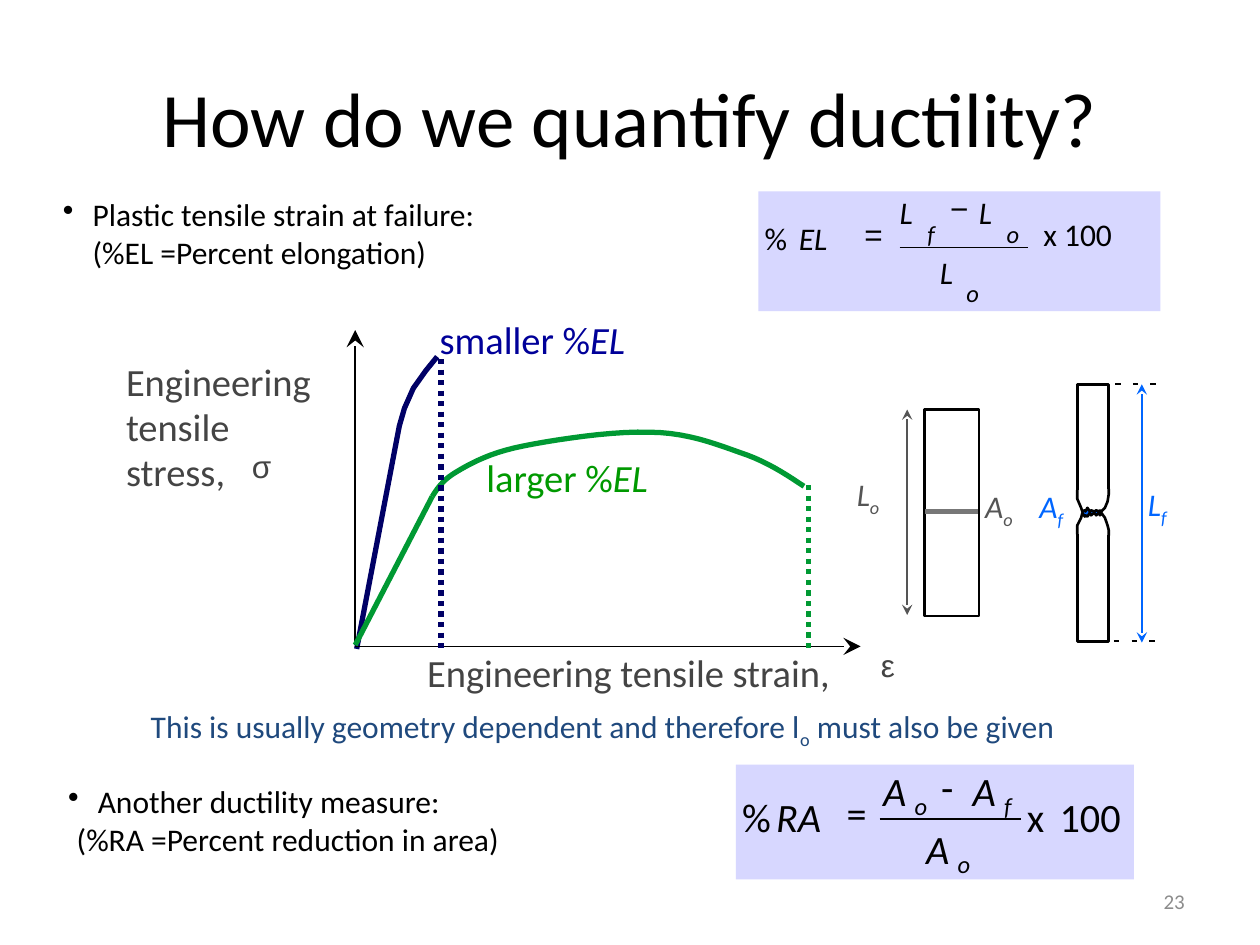
from lxml import etree
from pptx import Presentation
from pptx.dml.color import RGBColor
from pptx.enum import dml, shapes, text
from pptx.oxml.ns import qn
from pptx.util import Pt

BLACK, LILAC, GREY, MID, SILVER = "000000", "D7D7FF", "444444", "555555", "777777"
NAVY, GREEN, BLUE = "000066", "009933", "0066FF"
LINE_HEIGHT = {12: 28.8, 14: 16.6, 18: 28.8, 22: 26.6, 23: 27.4}

TITLE = "How do we quantify ductility?"

# left, top, then lines as (text, indent); the first line carries the bullet
BULLETS = [
    (36, 111.6, [("Plastic tensile strain at failure:", 17),
                 ("(%EL =Percent elongation)", 17)]),
    (38.9, 447.1, [("Another ductility measure:", 17),
                   ("(%RA =Percent reduction in area)", 5)]),
]

# left, top, width, height, fill, line
BOXES = [
    (420.5, 437, 227.5, 65.5, LILAC, None),
    (433.4, 109.4, 229.7, 68.4, LILAC, None),
    (528.5, 234, 31, 118, None, BLACK),
]

# text, left, top, width, size, italic, font
FORMULAS = [
    ("%", 424.1, 452.9, 20.2, 23, False, "Calibri"),
    ("RA", 443.5, 452.9, 31.7, 23, True, "Calibri"),
    ("=", 483.8, 450.7, 13.7, 23, False, "Calibri"),
    ("A", 504.7, 437.8, 15, 23, True, "Calibri"),
    ("o", 522.7, 452.2, 8, 14, True, "Calibri"),
    ("-", 537.8, 435.6, 8, 23, False, "Calibri"),
    ("A", 555.8, 437.8, 15, 23, True, "Calibri"),
    ("f", 573.8, 452.2, 4, 14, True, "Calibri"),
    ("A", 529.2, 470.9, 15, 23, True, "Calibri"),
    ("o", 547.2, 485.3, 8, 14, True, "Calibri"),
    ("x", 586.8, 452.9, 11.5, 23, False, "Calibri"),
    ("100", 605.5, 452.9, 38, 23, False, "Calibri"),
    ("%", 437, 125.3, 21.6, 18, False, "Calibri"),
    ("EL", 456.5, 125.3, 29.5, 18, True, "Calibri"),
    ("=", 493.9, 123.1, 13, 18, False, "Arial"),
    ("L", 514.1, 110.2, 13.7, 18, True, "Calibri"),
    ("f", 529.9, 125.3, 4, 14, True, "Calibri"),
    ("−", 542.9, 108, 13, 18, False, "Arial"),
    ("L", 559.4, 110.2, 13.7, 18, True, "Calibri"),
    ("o", 575.3, 125.3, 8, 14, True, "Calibri"),
    ("L", 537.1, 144.7, 13.7, 18, True, "Calibri"),
    ("o", 552.2, 159.1, 8, 14, True, "Calibri"),
    ("x 100", 596.2, 123.1, 59, 18, False, "Calibri"),
]

# runs as (text, style: i = italic, s = subscript), left, top, width, size, colour, font
LABELS = [
    ([("Engineering tensile strain,", "")], 244.1, 370.8, 259, 22, GREY, "Calibri"),
    ([("ε", "")], 503.3, 369.4, 10.8, 18, GREY, "Arial"),
    ([("Engineering", "")], 72, 204.5, 111.6, 22, GREY, "Calibri"),
    ([("tensile", "")], 72, 230.4, 70, 22, GREY, "Calibri"),
    ([("stress,", "")], 72, 256.3, 70.6, 22, GREY, "Calibri"),
    ([("σ", "")], 144, 255.6, 14.4, 18, GREY, "Arial"),
    ([("smaller %", ""), ("EL", "i")], 251.3, 180.7, 129.6, 22, "000099", "Calibri"),
    ([("larger %", ""), ("EL", "i")], 277.9, 259.2, 108.7, 22, "009900", "Calibri"),
    ([("L", "i"), ("o", "is")], 489.6, 271.4, 22, 18, MID, "Calibri"),
    ([("A", "i"), ("o", "is")], 563, 278.6, 25, 18, MID, "Calibri"),
    ([("A", "i"), ("f", "is")], 594, 278.6, 20, 18, BLUE, "Calibri"),
    ([("L", "i"), ("f", "is")], 655.9, 277.2, 18, 18, BLUE, "Calibri"),
]
NOTE = [("This is usually geometry dependent and therefore l", ""), ("o", "s"),
        (" must also be given", "")]

# x1, y1, x2, y2, colour, width, options
LINES = [
    (502.6, 468, 583.2, 468, BLACK, 1, {}),
    (514.1, 141.4, 587.5, 141.4, BLACK, 1, {}),
    (203, 368.6, 203, 188.6, BLACK, 1, {"tail": "lg"}),
    (203, 369.4, 491.8, 369.4, BLACK, 1, {"tail": "lg"}),
    (203, 368.6, 247, 283.7, GREEN, 3, {}),
    (252, 205.2, 252, 370.8, NAVY, 3, {"dotted": True}),
    (462.2, 277.2, 462.2, 370.8, GREEN, 3, {"dotted": True}),
    (518.4, 234, 518.4, 351.4, MID, 1, {"head": "med", "tail": "med"}),
    (652.5, 219.6, 652.5, 367.2, BLUE, 1, {"head": "med", "tail": "med"}),
    (528.5, 292.3, 558.7, 292.3, SILVER, 3, {}),
    (618.5, 293, 627.8, 293, BLUE, 3, {}),
]
EXTENSION_DASHES = [(637.2, 219.6), (636.5, 366.5)]
DASH_LENGTH, DASH_STEP, DASH_COUNT = 3.2, 10.1, 3

BRITTLE_CURVE = [(203.8, 370.8), (228.2, 243.4), (231.1, 233.3), (236.2, 221.8),
                 (243.4, 211.7), (249.8, 203.8)]
DUCTILE_START = (247, 283.7)
DUCTILE_BEZIERS = [
    ((249.8, 279.4), (252.7, 274.3), (261.4, 269.3)),
    ((270, 264.2), (280.8, 258.5), (298.8, 254.9)),
    ((316.8, 251.3), (349.9, 246.2), (370.8, 247)),
    ((391.7, 247), (408.2, 253.4), (422.6, 258.5)),
    ((437.8, 263.5), (448.6, 270.7), (459.4, 277.9)),
]
NECK_X = [615.6, 615.6, 617.8, 618.5, 619.9, 620.2, 621.4, 622.8, 623.5, 625.3,
          626.4, 627.8, 628.6, 629.3, 631.4, 632.9, 633.6, 633.6]
# end of the specimen, then the neck from left to right
NECKS = [
    (219.6, [280.1, 285.1, 290.2, 292.3, 291.6, 292.3, 290.2, 292.3, 291.6, 292.3,
             291.6, 292.3, 291.6, 292.3, 290.2, 286.6, 282.2, 279.4]),
    (366.5, [305.3, 300.2, 295.9, 293, 295.2, 294.5, 295.2, 293, 294.5, 293,
             294.5, 293, 294.5, 293, 295.9, 300.2, 303.1, 306]),
]


def colour(value):
    return RGBColor.from_string(value)


def add_runs(para, runs, size, tint, font):
    for words, style in runs:
        span = para.add_run()
        span.text = words
        formats = {"size": Pt(size), "name": font, "italic": "i" in style}
        for name, value in formats.items():
            setattr(span.font, name, value)
        span.font.color.rgb = colour(tint)
        if "s" in style:
            span._r.get_or_add_rPr().set("baseline", "-25000")


def add_frame(page, left, top, width, height, wrap=False):
    box = page.shapes.add_textbox(Pt(left), Pt(top), Pt(width), Pt(height))
    frame = box.text_frame
    formats = {"margin_left": 0, "margin_top": 0, "margin_right": 0,
               "margin_bottom": 0, "word_wrap": wrap}
    for name, value in formats.items():
        setattr(frame, name, value)
    return frame


def add_label(page, runs, left, top, width, size, tint, font="Calibri", align=None):
    frame = add_frame(page, left, top, width, LINE_HEIGHT[size], align is not None)
    para = frame.paragraphs[0]
    para.alignment = align
    add_runs(para, runs, size, tint, font)
    return frame


def add_bullets(page, left, top, lines):
    frame = add_frame(page, left, top, 396, 58.3, True)
    for index, (words, indent) in enumerate(lines):
        para = frame.add_paragraph() if index else frame.paragraphs[0]
        properties = para._p.get_or_add_pPr()
        properties.set("marL", str(Pt(indent)))
        if index == 0:
            properties.set("indent", str(-Pt(indent)))
            etree.SubElement(properties, qn("a:buChar")).set("char", "•")
        add_runs(para, [(words, "")], 18, BLACK, "Calibri")


def add_line(page, x1, y1, x2, y2, tint, width, options):
    line = page.shapes.add_connector(shapes.MSO_CONNECTOR.STRAIGHT,
                                     Pt(x1), Pt(y1), Pt(x2), Pt(y2))
    line.line.color.rgb = colour(tint)
    line.line.width = Pt(width)
    if options.get("dotted"):
        line.line.dash_style = dml.MSO_LINE.ROUND_DOT
    for end in ("head", "tail"):
        if end in options:
            arrow = etree.SubElement(line.line._get_or_add_ln(), qn(f"a:{end}End"))
            for name, value in {"type": "stealth", "w": options[end], "len": options[end]}.items():
                arrow.set(name, value)
    etree.SubElement(line._element.spPr, qn("a:effectLst"))


def paint(shape, fill, line, width):
    shape.shadow.inherit = False
    for part, tint in ((shape.fill, fill), (shape.line.fill, line)):
        if tint:
            part.solid()
            part.fore_color.rgb = colour(tint)
        else:
            part.background()
    if line:
        shape.line.width = Pt(width)


def add_path(page, points, tint, width):
    corners = [(Pt(x), Pt(y)) for x, y in points]
    builder = page.shapes.build_freeform(*corners[0])
    builder.add_line_segments(corners[1:], close=False)
    paint(builder.convert_to_shape(), None, tint, width)


def bezier_points(start, curves, steps=10):
    points = [start]
    for curve in curves:
        nodes = (points[-1], *curve)
        for step in range(1, steps + 1):
            t = step / steps
            weights = ((1 - t) ** 3, 3 * t * (1 - t) ** 2, 3 * t * t * (1 - t), t ** 3)
            points.append(tuple(sum(w * node[axis] for w, node in zip(weights, nodes))
                                for axis in (0, 1)))
    return points


def main():
    deck = Presentation()
    deck.slide_width, deck.slide_height = Pt(720), Pt(540)
    page = deck.slides.add_slide(deck.slide_layouts[5])
    title = page.shapes.title
    for name, value in {"left": 36, "top": 21.6, "width": 648, "height": 90}.items():
        setattr(title, name, Pt(value))
    title.text_frame.vertical_anchor = text.MSO_ANCHOR.MIDDLE
    title.text_frame.paragraphs[0].alignment = text.PP_ALIGN.CENTER
    add_runs(title.text_frame.paragraphs[0], [(TITLE, "")], 44, BLACK, "Calibri")

    for bullets in BULLETS:
        add_bullets(page, *bullets)
    for left, top, width, height, fill, line in BOXES:
        box = page.shapes.add_shape(shapes.MSO_SHAPE.RECTANGLE,
                                    Pt(left), Pt(top), Pt(width), Pt(height))
        paint(box, fill, line, 1.5)
    for words, left, top, width, size, italic, font in FORMULAS:
        add_label(page, [(words, "i" if italic else "")], left, top, width, size, BLACK, font)

    add_path(page, BRITTLE_CURVE, NAVY, 3)
    add_path(page, bezier_points(DUCTILE_START, DUCTILE_BEZIERS), GREEN, 3)
    for line in LINES:
        add_line(page, *line)
    for left, y in EXTENSION_DASHES:
        for index in range(DASH_COUNT):
            x = left + index * DASH_STEP
            add_line(page, x, y, x + DASH_LENGTH, y, BLACK, 1, {})
    for end, heights in NECKS:
        neck = list(zip(NECK_X, heights))
        cap = [neck[0], (NECK_X[0], end), (NECK_X[-1], end), neck[-1]]
        add_path(page, cap, BLACK, 1.5)
        add_path(page, neck, BLACK, 1.5)

    for label in LABELS:
        add_label(page, *label)
    add_label(page, NOTE, 25, 403.9, 638.6, 18, "1F497D", align=text.PP_ALIGN.CENTER)
    number = add_label(page, [("23", "")], 516.2, 500.4, 160.8, 12, "8C8C8C",
                       align=text.PP_ALIGN.RIGHT)
    number.vertical_anchor = text.MSO_ANCHOR.MIDDLE
    deck.save("out.pptx")


if __name__ == "__main__":
    main()
